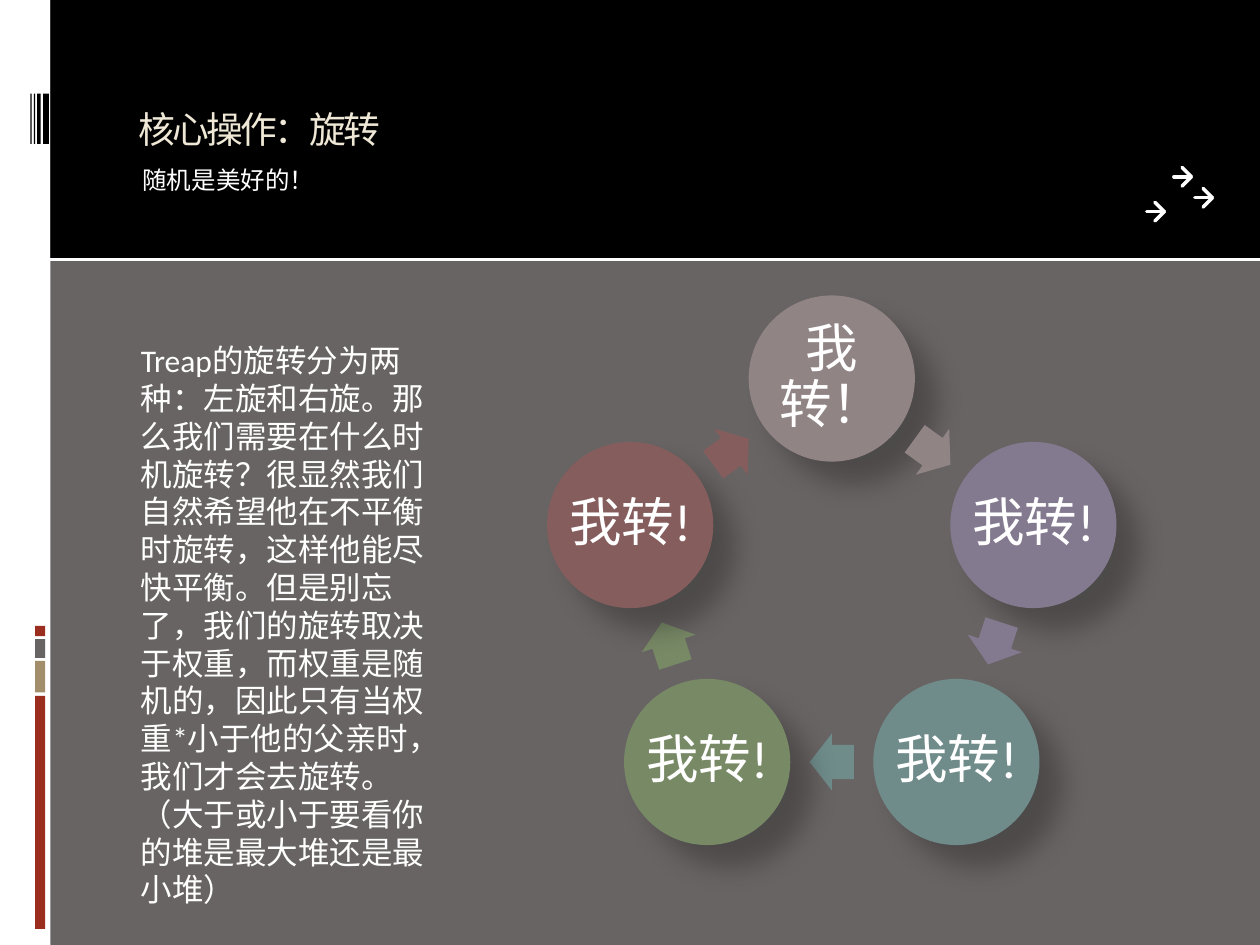
import math

from lxml import etree
from pptx import Presentation
from pptx import util as u
from pptx.dml.color import RGBColor
from pptx.enum import shapes, text
from pptx.oxml.ns import qn

WHITE, BLACK, GREY, RED = "FFFFFF", "000000", "696464", "9B2D1F"
FONT = "Calibri"
BODY = (
    "Treap的旋转分为两种：左旋和右旋。那么我们需要在什么时机旋转？"
    "很显然我们自然希望他在不平衡时旋转，这样他能尽快平衡。"
    "但是别忘了，我们的旋转取决于权重，而权重是随机的，"
    "因此只有当权重*小于他的父亲时，我们才会去旋转。"
    "（大于或小于要看你的堆是最大堆还是最小堆）"
)
CYCLE = [
    ("我转！", "918485"),
    ("我转!", "837A8F"),
    ("我转!", "6F8C8B"),
    ("我转!", "788966"),
    ("我转!", "855D5D"),
]


def paint(color_format, color):
    """Apply a hex colour to a fill or a font colour."""
    color_format.rgb = RGBColor.from_string(color)


def add_block(slide, kind, box, color):
    """Add a flat filled shape without outline or shadow."""
    shape = slide.shapes.add_shape(kind, *map(u.Pt, box))
    shape.shadow.inherit = False
    shape.fill.solid()
    paint(shape.fill.fore_color, color)
    shape.line.fill.background()
    return shape


def add_line(slide, start, end, width, cap="flat"):
    """Add a white straight line without shadow."""
    line = slide.shapes.add_connector(
        shapes.MSO_CONNECTOR.STRAIGHT, *map(u.Pt, (*start, *end)))
    line.line.width = u.Pt(width)
    paint(line.line.color, WHITE)
    properties = line._element.spPr
    properties.find(qn("a:ln")).set("cap", cap)
    etree.SubElement(properties, qn("a:effectLst"))


def add_text(slide, box, words, size, color=WHITE, anchor=text.MSO_ANCHOR.TOP):
    """Add a wrapping one-paragraph text box without hanging punctuation."""
    frame = slide.shapes.add_textbox(*map(u.Pt, box)).text_frame
    frame.word_wrap = True
    frame.vertical_anchor = anchor
    paragraph = frame.paragraphs[0]
    paragraph.text = words
    paragraph.font.name = FONT
    paragraph.font.size = u.Pt(size)
    paint(paragraph.font.color, color)
    paragraph._element.get_or_add_pPr().set("hangingPunct", "0")
    return frame


def add_soft_shadow(shape):
    """Give a shape a soft black shadow towards the lower right."""
    effects = shape._element.spPr.find(qn("a:effectLst"))
    shadow = etree.SubElement(
        effects, qn("a:outerShdw"), blurRad=str(u.Pt(15)), dist=str(u.Pt(18)),
        dir=str(45 * 60000), algn="ctr", rotWithShape="0")
    color = etree.SubElement(shadow, qn("a:srgbClr"), val=BLACK)
    etree.SubElement(color, qn("a:alpha"), val="26000")


def draw_sidebar(slide, box):
    """Draw the white strip with its barcode and coloured bars."""
    left, top, width, height = box
    rectangle = shapes.MSO_SHAPE.RECTANGLE
    add_block(slide, rectangle, box, WHITE)
    for offset, extent, color in [(397.6, 133.2, RED), (377.7, 18, "A28E6A"),
                                  (365.2, 10.8, GREY), (357.7, 5.8, RED)]:
        add_block(slide, rectangle, (left + 20, top + offset, 5.8, extent), color)
    for offset, extent in [(24.6, 3.4), (21.2, 2), (19.4, 0.7), (17.4, 0.7)]:
        add_block(slide, rectangle, (left + offset, top + 53.5, extent, 28.8), BLACK)


def draw_header(slide, box):
    """Draw the black band with title, subtitle and small arrows."""
    left, top, width, height = box
    add_block(slide, shapes.MSO_SHAPE.RECTANGLE, box, BLACK)
    rule = top + height + 0.8
    add_line(slide, (left, rule), (left + width, rule), 1.5)
    for x, y in [(652, 101), (664, 113), (636.5, 121)]:
        x, y = left + x, top + y
        for start, end in [((-5.3, -5.3), (0, 0)), ((-10, 0), (-1.5, 0)),
                           ((-5.3, 5.3), (0, 0))]:
            add_line(slide, (x + start[0], y + start[1]),
                     (x + end[0], y + end[1]), 2, "rnd")
    title = add_text(slide, (left + 43.2, top + 18, 540, 72), "核心操作：旋转",
                     21, "EFE8D6", text.MSO_ANCHOR.BOTTOM)
    title.paragraphs[0].runs[0].font._element.set("spc", "-150")
    subtitle = add_text(slide, (left + 43.2, top + 90.7, 540, 54), "随机是美好的！", 14)
    subtitle.margin_left = u.Pt(9.4)


def draw_cycle(slide, box):
    """Draw circles on a ring, each followed by an arrow to the next."""
    left, top, width, height = box
    diameter, arrow_width, arrow_height = 95, 25.2, 32.4
    step = 360 / len(CYCLE)
    radius = (width - diameter) / 2 / math.sin(math.radians(step))
    center_x, center_y = left + width / 2, top + diameter / 2 + radius

    def ring_box(angle, distance, part_width, part_height):
        """Return the box centred at an angle clockwise from the top."""
        turn = math.radians(angle)
        return (round(center_x + distance * math.sin(turn) - part_width / 2, 2),
                round(center_y - distance * math.cos(turn) - part_height / 2, 2),
                part_width, part_height)

    for index, (words, color) in enumerate(CYCLE):
        angle = index * step
        circle_box = ring_box(angle, radius, diameter, diameter)
        add_soft_shadow(add_block(slide, shapes.MSO_SHAPE.OVAL, circle_box, color))
        frame = add_text(slide, circle_box, words, 30, anchor=text.MSO_ANCHOR.MIDDLE)
        frame.margin_left = frame.margin_right = u.Pt(3)
        frame.margin_top = frame.margin_bottom = u.Pt(3)
        frame.paragraphs[0].alignment = text.PP_ALIGN.CENTER
        frame.paragraphs[0].line_spacing = 0.9

        middle = angle + step / 2
        distance = radius * math.cos(math.radians(step / 2))
        arrow = add_block(slide, shapes.MSO_SHAPE.RIGHT_ARROW,
                          ring_box(middle, distance, arrow_width, arrow_height), color)
        arrow.adjustments[0] = 0.6
        arrow.adjustments[1] = 0.5
        arrow.rotation = middle


def build():
    """Build and save the slide."""
    presentation = Presentation()
    presentation.slide_width, presentation.slide_height = u.Pt(720), u.Pt(540)
    slide = presentation.slides.add_slide(presentation.slide_layouts[6])
    slide.background.fill.solid()
    paint(slide.background.fill.fore_color, GREY)
    draw_sidebar(slide, (0, 0, 28.8, 540))
    draw_header(slide, (28.8, 0, 691.2, 147.6))
    draw_cycle(slide, (312.6, 168.8, 325.4, 314.4))
    add_text(slide, (73.4, 191.5, 191.5, 312.5), BODY, 18)
    presentation.save("out.pptx")


build()
